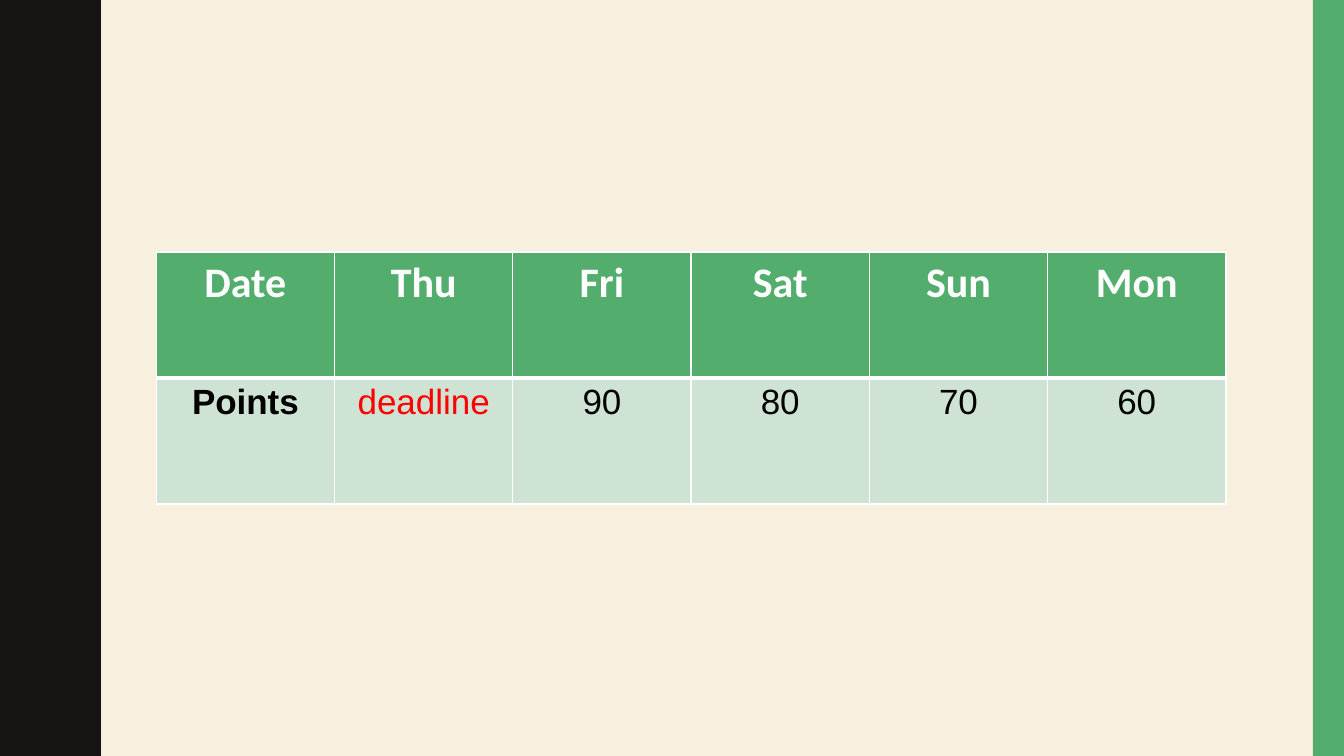
"""Build a slide with a table of points awarded by submission day."""
from dataclasses import dataclass

from lxml import etree
from pptx import Presentation
from pptx import util as u
from pptx.dml.color import RGBColor
from pptx.enum import shapes, text
from pptx.oxml.ns import qn


@dataclass(frozen=True)
class Theme:
    """Colours, fonts and type sizes of the slide."""
    cream: str = "F7F0DF"
    dark: str = "171312"
    green: str = "53AE6E"
    pale: str = "CFE3D4"
    white: str = "FFFFFF"
    black: str = "000000"
    red: str = "FF0000"
    header_font: str = "Calibri"
    body_font: str = "Arial"
    header_size: int = 30
    body_size: int = 25


@dataclass(frozen=True)
class CellStyle:
    """Look of one table cell."""
    fill: str
    color: str
    font: str
    size: int
    bold: bool
    top: int
    bottom: int


THEME = Theme()
WIDTH, HEIGHT = 13.33, 7.5
WAVE_PERIOD = 1.5
HALF_WAVE = [
    (0.78, 0), (0.78, 0.07), (0.79, 0.14), (0.8, 0.2), (0.81, 0.25),
    (0.83, 0.29), (0.85, 0.33), (0.87, 0.38), (0.89, 0.42), (0.91, 0.46),
    (0.93, 0.5), (0.95, 0.55), (0.96, 0.61), (0.97, 0.68), (0.97, 0.75),
]
ROWS = [
    ["Date", "Thu", "Fri", "Sat", "Sun", "Mon"],
    ["Points", "deadline", "90", "80", "70", "60"],
]


def paint(shape, color: str) -> None:
    """Give a shape a flat fill with no outline or shadow."""
    shape.fill.solid()
    shape.fill.fore_color.rgb = RGBColor.from_string(color)
    shape.line.fill.background()
    shape.shadow.inherit = False


def add_wavy_edge(page) -> None:
    """Draw the dark left band with its repeating wave."""
    crest = HALF_WAVE + [(x, WAVE_PERIOD - y) for x, y in HALF_WAVE[-2::-1]]
    waves = int(HEIGHT / WAVE_PERIOD)
    edge = [(x, y + wave * WAVE_PERIOD) for wave in range(waves) for x, y in crest]
    outline = page.shapes.build_freeform(0, 0, scale=u.Inches(1))
    outline.add_line_segments(edge + [(0, HEIGHT)], close=True)
    paint(outline.convert_to_shape(), THEME.dark)


def add_side_bar(page) -> None:
    """Draw the green bar on the right."""
    bar = page.shapes.add_shape(
        shapes.MSO_SHAPE.RECTANGLE,
        u.Inches(13.02), 0, u.Inches(0.31), u.Inches(HEIGHT))
    paint(bar, THEME.green)


def add_border(cell, side: str, points: int) -> None:
    """Add a white line to one side of a cell."""
    properties = cell._tc.get_or_add_tcPr()
    line = etree.SubElement(properties, qn(f"a:ln{side}"), w=str(u.Pt(points)))
    fill = etree.SubElement(line, qn("a:solidFill"))
    etree.SubElement(fill, qn("a:srgbClr"), val=THEME.white)


def style_for(row: int, column: int, wording: str) -> CellStyle:
    """Choose the style of a cell from its place and wording."""
    if row == 0:
        return CellStyle(THEME.green, THEME.white, THEME.header_font,
                         THEME.header_size, True, 1, 3)
    color = THEME.red if wording == "deadline" else THEME.black
    return CellStyle(THEME.pale, color, THEME.body_font,
                     THEME.body_size, column == 0, 3, 1)


def fill_cell(cell, wording: str, style: CellStyle) -> None:
    """Write and format one cell."""
    for side, points in (("L", 1), ("R", 1), ("T", style.top), ("B", style.bottom)):
        add_border(cell, side, points)
    cell.fill.solid()
    cell.fill.fore_color.rgb = RGBColor.from_string(style.fill)
    cell.text = wording
    para = cell.text_frame.paragraphs[0]
    para.alignment = text.PP_ALIGN.CENTER
    para.font.name = style.font
    para.font.size = u.Pt(style.size)
    para.font.bold = style.bold
    para.font.color.rgb = RGBColor.from_string(style.color)


def add_points_table(page) -> None:
    """Place the table of days and points."""
    table = page.shapes.add_table(
        len(ROWS), len(ROWS[0]),
        u.Inches(1.55), u.Inches(2.5), u.Inches(10.61), u.Inches(2.5)).table
    for row, entries in enumerate(ROWS):
        for column, wording in enumerate(entries):
            fill_cell(table.cell(row, column), wording, style_for(row, column, wording))


def main() -> None:
    """Build and save the deck."""
    deck = Presentation()
    deck.slide_width, deck.slide_height = u.Inches(WIDTH), u.Inches(HEIGHT)
    page = deck.slides.add_slide(deck.slide_layouts[6])
    page.background.fill.solid()
    page.background.fill.fore_color.rgb = RGBColor.from_string(THEME.cream)
    add_wavy_edge(page)
    add_side_bar(page)
    add_points_table(page)
    deck.save("out.pptx")


if __name__ == "__main__":
    main()
